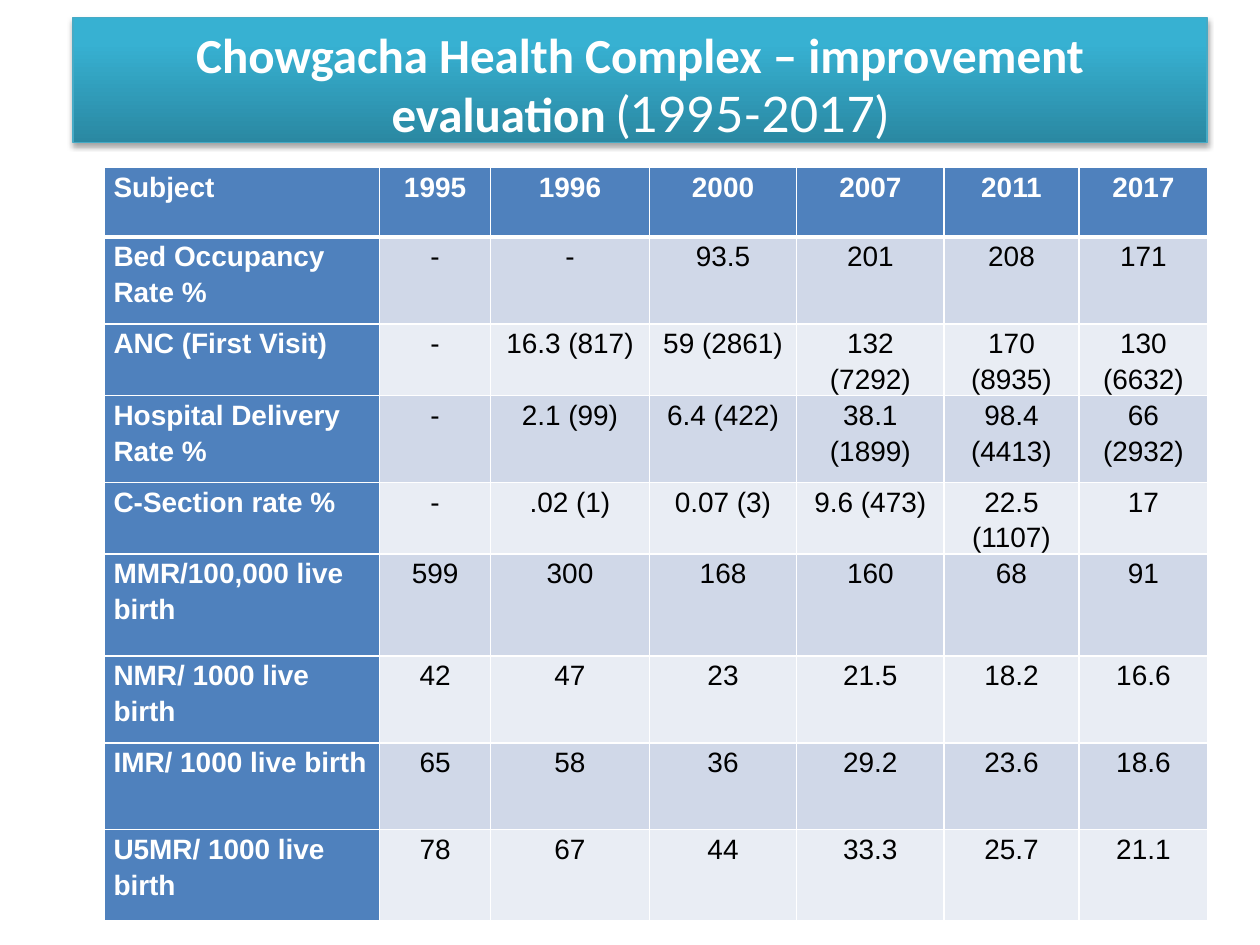
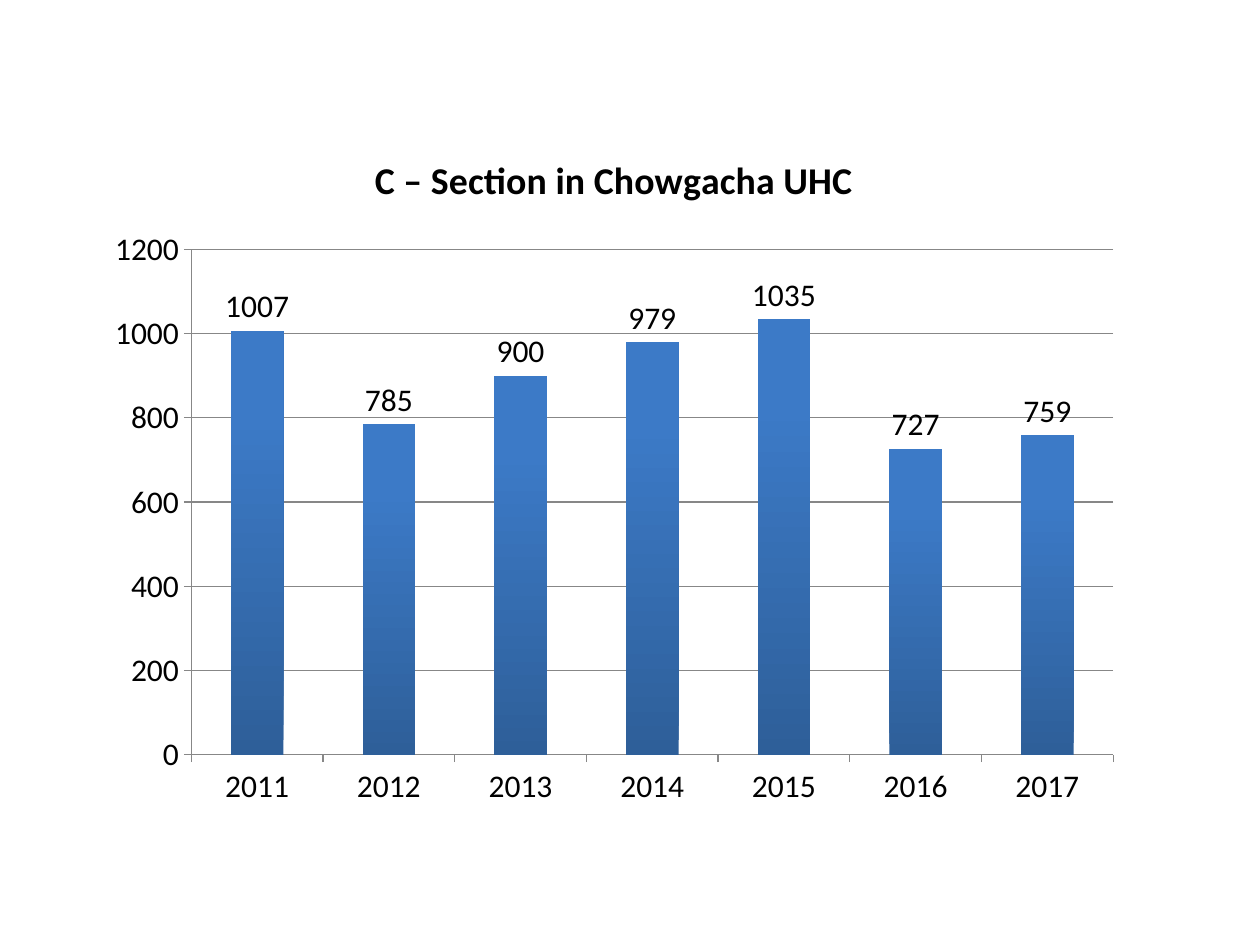
from lxml.etree import SubElement
from pptx import Presentation
from pptx.chart.data import CategoryChartData
from pptx.dml.color import RGBColor
from pptx.enum.chart import XL_CHART_TYPE, XL_LABEL_POSITION, XL_TICK_MARK
from pptx.enum.text import MSO_ANCHOR, MSO_AUTO_SIZE, PP_ALIGN
from pptx.oxml import parse_xml
from pptx.oxml.ns import nsdecls, qn
from pptx.util import Cm, Pt

WHITE = "FFFFFF"
BLACK = "000000"
HEADER_BLUE = "4F81BD"
BAND_FILLS = ["D0D8E8", "E9EDF4"]
TITLE_GRADIENT = ("2A88A2", "37B1D2")
TITLE_LINE = "46AAC5"
BAR_GRADIENT = ("2E5F99", "3C7AC7")
AXIS_GREY = "878787"

COLUMN_WIDTHS = [5.54, 2.24, 3.2, 2.97, 2.97, 2.72, 2.6]
ROW_HEIGHTS = [1.4, 1.75, 1.4, 1.75, 1.37, 2.06, 1.75, 1.75, 1.83]
INDICATORS = [
    ["Subject", "1995", "1996", "2000", "2007", "2011", "2017"],
    ["Bed Occupancy Rate %", "-", "-", "93.5", "201", "208", "171"],
    ["ANC (First Visit)", "-", "16.3 (817)", "59 (2861)", "132 (7292)",
     "170 (8935)", "130 (6632)"],
    ["Hospital Delivery Rate %", "-", "2.1 (99)", "6.4 (422)", "38.1 (1899)",
     "98.4 (4413)", "66 (2932)"],
    ["C-Section rate %", "-", ".02 (1)", "0.07 (3)", "9.6 (473)",
     "22.5 (1107)", "17"],
    ["MMR/100,000 live birth", "599", "300", "168", "160", "68", "91"],
    ["NMR/ 1000 live birth", "42", "47", "23", "21.5", "18.2", "16.6"],
    ["IMR/ 1000 live birth", "65", "58", "36", "29.2", "23.6", "18.6"],
    ["U5MR/ 1000 live birth", "78", "67", "44", "33.3", "25.7", "21.1"],
]
C_SECTIONS = {"2011": 1007, "2012": 785, "2013": 900, "2014": 979,
              "2015": 1035, "2016": 727, "2017": 759}


def rgb(color):
    return RGBColor.from_string(color)


def style_font(font, size, name, color, bold=False):
    font.size = Pt(size)
    font.name = name
    font.bold = bold
    font.color.rgb = rgb(color)


def fill_gradient(fill, colors):
    fill.gradient()
    fill.gradient_angle = 90
    for stop, color, position in zip(fill.gradient_stops, colors, (0, 0.8)):
        stop.color.rgb = rgb(color)
        stop.position = position


def add_shadow(sp):
    sp._element.spPr.append(parse_xml(
        f'<a:effectLst {nsdecls("a")}>'
        '<a:outerShdw blurRad="40000" dist="23000" dir="5400000" rotWithShape="0">'
        f'<a:srgbClr val="{BLACK}"><a:alpha val="35000"/></a:srgbClr>'
        '</a:outerShdw></a:effectLst>'))


def format_title(sp, name, period):
    sp.left, sp.top, sp.width, sp.height = Cm(1.47), Cm(0.35), Cm(22.86), Cm(2.52)
    fill_gradient(sp.fill, TITLE_GRADIENT)
    sp.line.color.rgb = rgb(TITLE_LINE)
    sp.line.width = Pt(0.75)
    add_shadow(sp)
    tf = sp.text_frame
    tf.word_wrap = True
    tf.auto_size = MSO_AUTO_SIZE.NONE
    tf.vertical_anchor = MSO_ANCHOR.MIDDLE
    tf.margin_left = tf.margin_right = Cm(0.25)
    tf.margin_top, tf.margin_bottom = Cm(0.13), 0
    p = tf.paragraphs[0]
    p.alignment = PP_ALIGN.CENTER
    for text, font, bold in ((name, "Calibri", True), (period, "Lato", False)):
        r = p.add_run()
        r.text = text
        style_font(r.font, 28, font, WHITE, bold)


def set_borders(cell, widths):
    tcPr = cell._tc.get_or_add_tcPr()
    for side, width in widths.items():
        ln = SubElement(tcPr, qn(f"a:ln{side}"), w=str(Pt(width)))
        SubElement(SubElement(ln, qn("a:solidFill")), qn("a:srgbClr"), val=WHITE)


def format_cell(cell, text, row, column):
    is_heading = row == 0 or column == 0
    set_borders(cell, {"L": 1, "R": 1, "T": 3 if row == 1 else 1,
                       "B": 3 if row == 0 else 1})
    cell.fill.solid()
    cell.fill.fore_color.rgb = rgb(
        HEADER_BLUE if is_heading else BAND_FILLS[(row - 1) % 2])
    cell.margin_left = cell.margin_right = Cm(0.18)
    cell.margin_top = cell.margin_bottom = 0
    cell.text_frame.text = text
    p = cell.text_frame.paragraphs[0]
    p.line_spacing = 1.15
    p.alignment = PP_ALIGN.CENTER if column else PP_ALIGN.LEFT
    style_font(p.runs[0].font, 16, "Arial", WHITE if is_heading else BLACK, is_heading)


def add_indicator_table(s):
    table = s.shapes.add_table(
        len(ROW_HEIGHTS), len(COLUMN_WIDTHS), Cm(2.11), Cm(3.38),
        Cm(sum(COLUMN_WIDTHS)), Cm(sum(ROW_HEIGHTS))).table
    for column, width in zip(table.columns, COLUMN_WIDTHS):
        column.width = Cm(width)
    for row, height in zip(table.rows, ROW_HEIGHTS):
        row.height = Cm(height)
    for i, texts in enumerate(INDICATORS):
        for j, text in enumerate(texts):
            format_cell(table.cell(i, j), text, i, j)


def add_column_chart(s, title, values):
    data = CategoryChartData()
    data.categories = list(values)
    data.add_series("Series 1", list(values.values()))
    chart = s.shapes.add_chart(
        XL_CHART_TYPE.COLUMN_CLUSTERED, Cm(1.9), Cm(2.54), Cm(20.96), Cm(13.97),
        data).chart
    style_font(chart.font, 18, "Calibri", BLACK)
    chart.has_legend = False
    chart.has_title = True
    tf = chart.chart_title.text_frame
    tf.text = title
    style_font(tf.paragraphs[0].runs[0].font, 21.6, "Calibri", BLACK, True)
    chart.chart_title.include_in_layout = False

    plot = chart.plots[0]
    plot.gap_width = 150
    plot.vary_by_categories = False
    plot.has_data_labels = True
    plot.data_labels.show_value = True
    plot.data_labels.position = XL_LABEL_POSITION.OUTSIDE_END
    fill_gradient(plot.series[0].format.fill, BAR_GRADIENT)

    for axis in (chart.category_axis, chart.value_axis):
        axis.major_tick_mark = XL_TICK_MARK.OUTSIDE
        axis.minor_tick_mark = XL_TICK_MARK.NONE
        axis.format.line.color.rgb = rgb(AXIS_GREY)
    chart.value_axis.has_major_gridlines = True
    chart.value_axis.major_gridlines.format.line.color.rgb = rgb(AXIS_GREY)


def main():
    prs = Presentation()
    prs.slide_width, prs.slide_height = Cm(25.4), Cm(19.05)

    s = prs.slides.add_slide(prs.slide_layouts[5])
    format_title(s.shapes.title,
                 "Chowgacha Health Complex – improvement evaluation ", "(1995-2017)")
    add_indicator_table(s)

    s = prs.slides.add_slide(prs.slide_layouts[6])
    add_column_chart(s, "C – Section in Chowgacha UHC", C_SECTIONS)

    prs.save("out.pptx")


if __name__ == "__main__":
    main()
